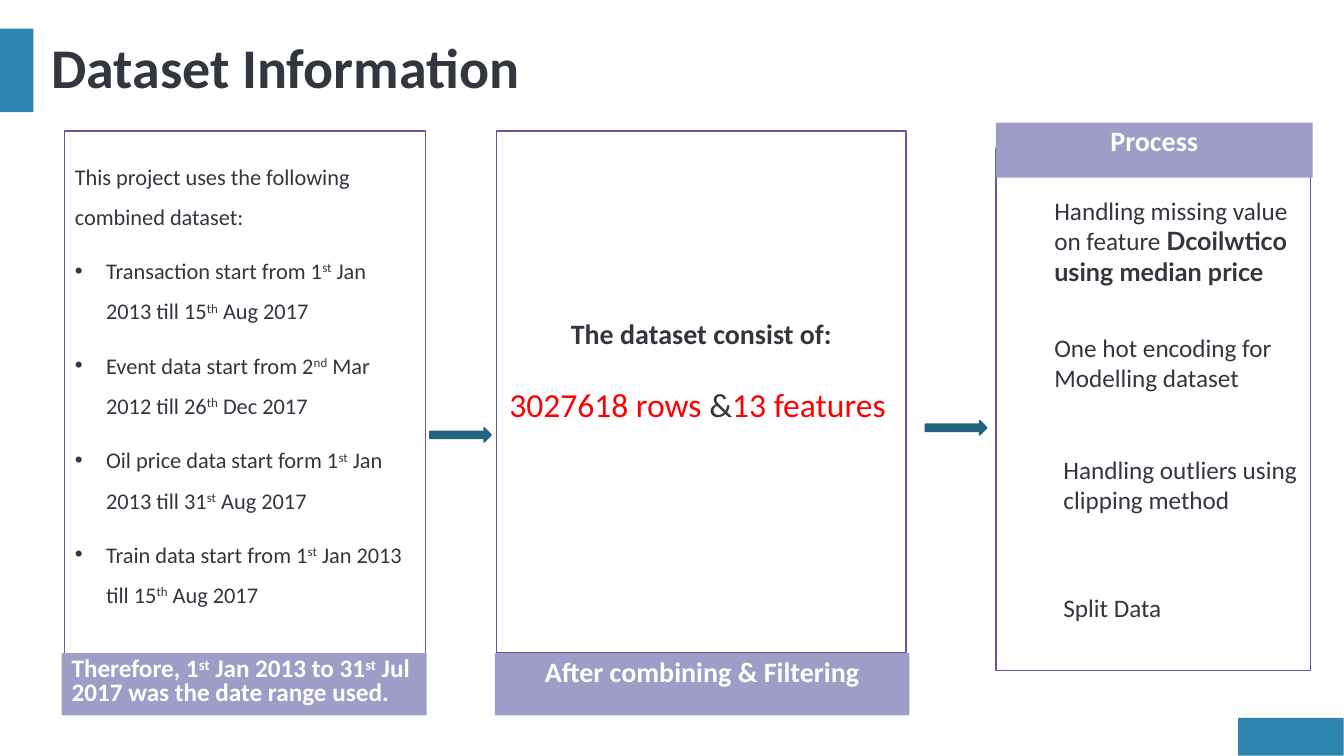
"""Build the Dataset Information slide."""
from dataclasses import dataclass

from lxml.etree import SubElement
from pptx import Presentation
from pptx.dml.color import RGBColor
from pptx.enum.shapes import MSO_SHAPE
from pptx.enum.text import MSO_ANCHOR, MSO_AUTO_SIZE, PP_ALIGN
from pptx.oxml.ns import qn
from pptx.util import Cm, Pt


@dataclass
class Theme:
    ink: str = "32363F"
    white: str = "FFFFFF"
    red: str = "FF0000"
    accent: str = "2C85AE"
    band: str = "9E9DC7"
    edge: str = "5E5CA2"
    arrow: str = "216482"
    rim: str = "216281"
    font: str = "Calibri"
    alt: str = "Lato"
    title: int = 40
    count: int = 24
    head: int = 20
    text: int = 18
    list: int = 16


def paint(shape, fill, line=None):
    shape.fill.solid()
    shape.fill.fore_color.rgb = RGBColor.from_string(fill)
    if line:
        shape.line.color.rgb = RGBColor.from_string(line)
        shape.line.width = Pt(1)
    else:
        shape.line.fill.background()


def write(shape, lines, size, color=Theme.ink, bold=False, align=PP_ALIGN.LEFT,
          space=1.0, anchor=MSO_ANCHOR.TOP):
    frame = shape.text_frame
    frame.word_wrap = True
    frame.auto_size = MSO_AUTO_SIZE.NONE
    frame.vertical_anchor = anchor
    for row, line in enumerate(lines):
        para = frame.add_paragraph() if row else frame.paragraphs[0]
        props = para._p.get_or_add_pPr()
        bullet = line.startswith("•")
        props.set("marL", str(Cm(0.79) if bullet else 0))
        props.set("indent", str(-Cm(0.79) if bullet else 0))
        if bullet:
            SubElement(props, qn("a:buFont"), typeface="Arial")
            SubElement(props, qn("a:buChar"), char="•")
        else:
            SubElement(props, qn("a:buNone"))
        para.alignment = align
        para.line_spacing = space
        para.space_before = Pt(10 if row else 0)
        for part in line.lstrip("•").split("|"):
            run = para.add_run()
            run.text = part
            run.font.name = Theme.font
            run.font.size = Pt(size)
            run.font.bold = bold
            run.font.color.rgb = RGBColor.from_string(color)
            if part in ("st", "nd", "th"):
                run._r.get_or_add_rPr().set("baseline", "30000")


deck = Presentation()
deck.slide_width, deck.slide_height = Cm(33.87), Cm(19.05)
slide = deck.slides.add_slide(deck.slide_layouts[3])
title, facts, note = slide.placeholders

places = [
    (title, 1.04, 0.71, 32, 2.11),
    (facts, 1.63, 3.3, 9.09, 13.51),
    (note, 1.55, 16.46, 9.2, 1.57),
]
for shape, left, top, width, height in places:
    shape.left, shape.top = Cm(left), Cm(top)
    shape.width, shape.height = Cm(width), Cm(height)

write(title, ["Dataset Information"], Theme.title, bold=True, space=0.9,
      anchor=MSO_ANCHOR.MIDDLE)
paint(facts, Theme.white, Theme.edge)
write(facts, [
    "This project uses the following combined dataset:",
    "•Transaction start from 1|st| Jan 2013 till 15|th| Aug 2017",
    "•Event data start from 2|nd| Mar 2012 till 26|th| Dec 2017",
    "•Oil price data start form 1|st| Jan 2013 till 31|st| Aug 2017",
    "•Train data start from 1|st| Jan 2013 till 15|th| Aug 2017",
], Theme.list, space=1.5)
facts.text_frame.margin_top = Cm(0.46)
paint(note, Theme.band)
write(note, ["Therefore, 1|st| Jan 2013 to 31|st| Jul 2017 was the date range used."],
      Theme.text, Theme.white, True, space=0.8)

blocks = [
    ("", MSO_SHAPE.RECTANGLE, 31.2, 18.09, 2.66, 0.95, Theme.accent, None),
    ("", MSO_SHAPE.RECTANGLE, 0, 0.72, 0.84, 2.11, Theme.accent, None),
    ("", MSO_SHAPE.RECTANGLE, 25.1, 3.74, 7.93, 13.15, Theme.white, Theme.edge),
    ("The dataset consist of:", MSO_SHAPE.RECTANGLE, 12.52, 3.3, 10.31, 13.16,
     Theme.white, Theme.edge),
    ("After combining & Filtering", MSO_SHAPE.RECTANGLE, 12.47, 16.46, 10.45, 1.57,
     Theme.band, None),
    ("Process", MSO_SHAPE.RECTANGLE, 25.1, 3.09, 7.98, 1.39, Theme.band, None),
    ("", MSO_SHAPE.RIGHT_ARROW, 10.83, 10.78, 1.55, 0.36, Theme.arrow, Theme.rim),
    ("", MSO_SHAPE.RIGHT_ARROW, 23.32, 10.6, 1.55, 0.36, Theme.arrow, Theme.rim),
]
for text, kind, left, top, width, height, fill, line in blocks:
    shape = slide.shapes.add_shape(kind, Cm(left), Cm(top), Cm(width), Cm(height))
    shape.shadow.inherit = False
    paint(shape, fill, line)
    if fill == Theme.band:
        write(shape, [text], Theme.head, Theme.white, True, PP_ALIGN.CENTER, 0.9)
    elif text:
        write(shape, [text, "3027618 rows| &|13 features "],
              Theme.count, Theme.red, False, PP_ALIGN.CENTER, 1.5)
        shape.text_frame.margin_top = Cm(4.25)
        lead, sums = shape.text_frame.paragraphs
        lead.runs[0].font.size = Pt(Theme.head)
        lead.runs[0].font.bold = True
        for run in (lead.runs[0], sums.runs[1]):
            run.font.color.rgb = RGBColor.from_string(Theme.ink)

steps = [
    ("Handling missing value on feature |Dcoilwtico using median price", 26.32, 4.8, 2.57),
    ("One hot encoding for Modelling dataset", 26.32, 8.24, 1.8),
    ("Handling outliers using clipping method", 26.55, 11.33, 1.8),
    ("Split Data", 26.55, 14.81, 1.02),
]
for text, left, top, height in steps:
    box = slide.shapes.add_textbox(Cm(left), Cm(top), Cm(6.73), Cm(height))
    write(box, [text], Theme.text)
    for run in box.text_frame.paragraphs[0].runs[1:]:
        run.font.name = Theme.alt
        run.font.bold = True

deck.save("out.pptx")
